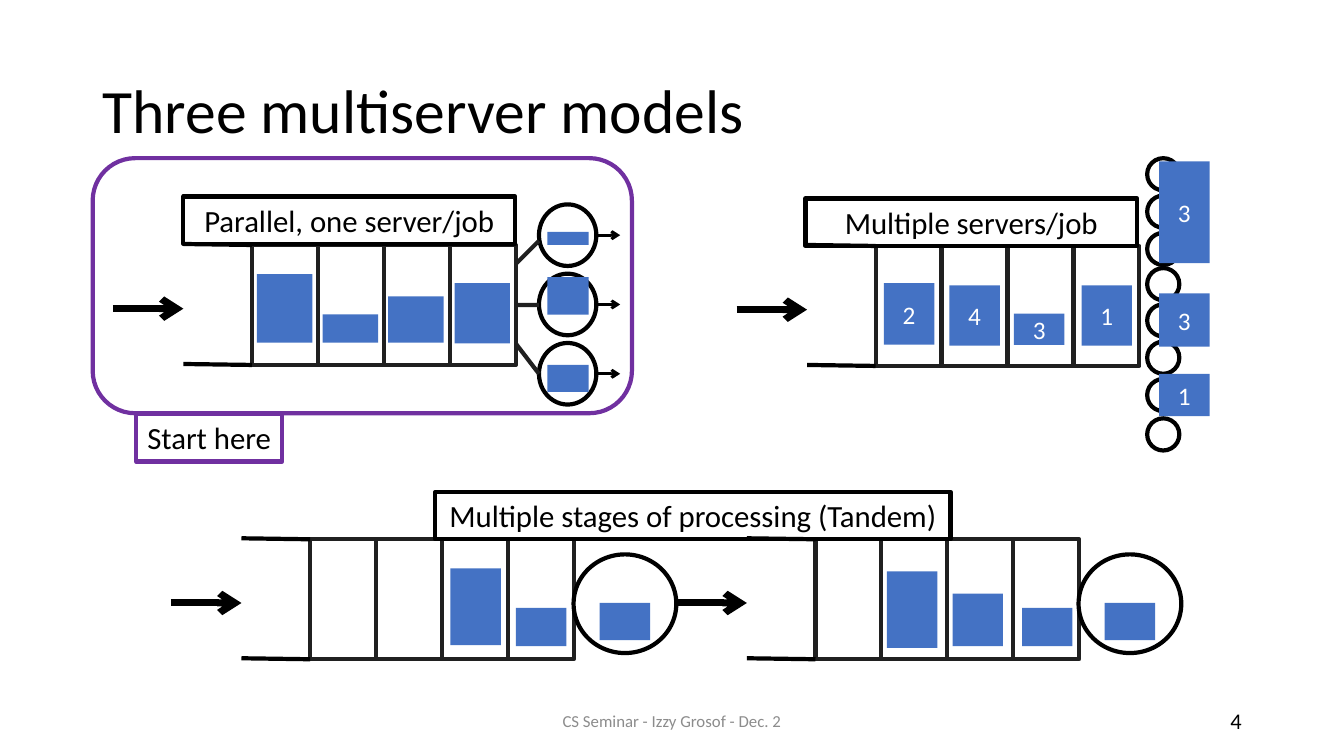
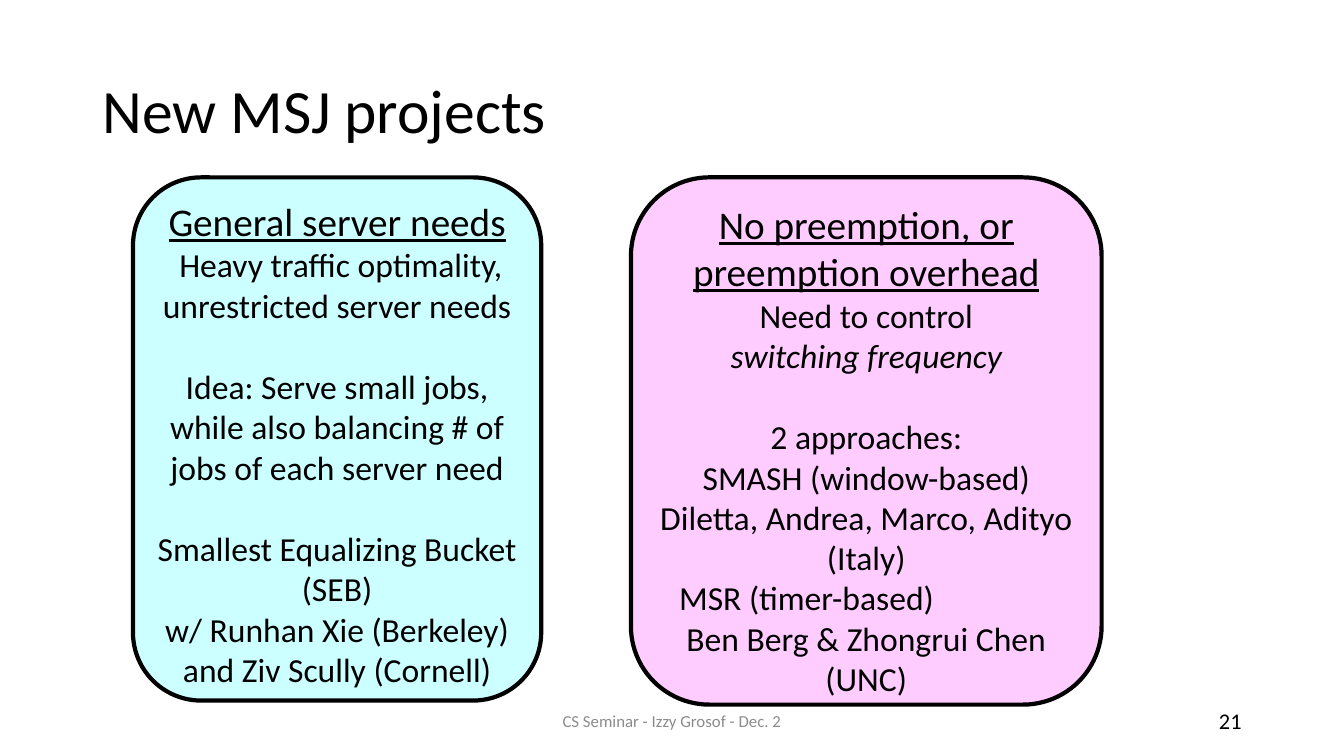
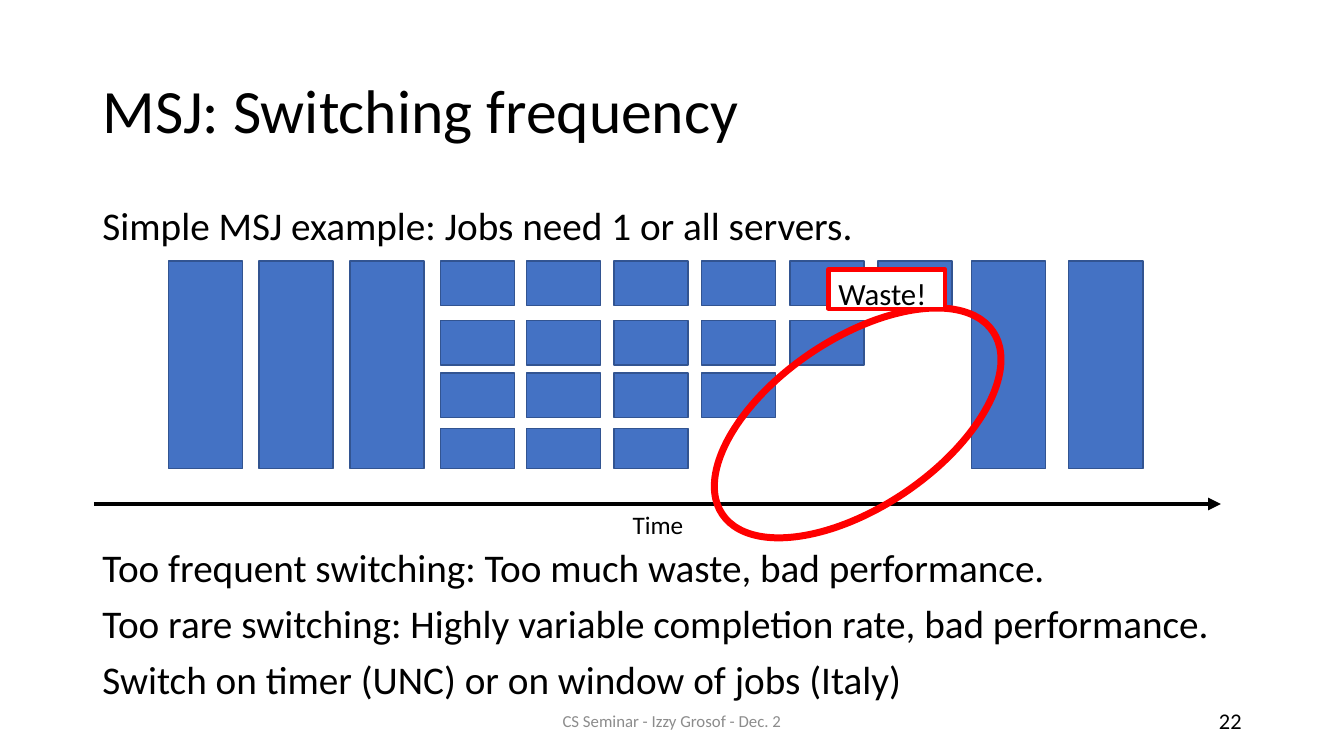
from lxml import etree
from pptx import Presentation
from pptx.dml.color import RGBColor
from pptx.enum.shapes import MSO_CONNECTOR, MSO_SHAPE
from pptx.enum.text import MSO_ANCHOR, MSO_AUTO_SIZE, PP_ALIGN
from pptx.oxml.ns import qn
from pptx.util import Pt

RECT, ROUND, OVAL = MSO_SHAPE.RECTANGLE, MSO_SHAPE.ROUNDED_RECTANGLE, MSO_SHAPE.OVAL
STRAIGHT = MSO_CONNECTOR.STRAIGHT
LEFT, CENTER, RIGHT = PP_ALIGN.LEFT, PP_ALIGN.CENTER, PP_ALIGN.RIGHT
TOP, MIDDLE = MSO_ANCHOR.TOP, MSO_ANCHOR.MIDDLE

COLORS = {
    "black": "000000", "white": "FFFFFF", "gray": "8C8C8C", "cell": "202020",
    "job": "4472C4", "job_edge": "325491", "purple": "7030A0", "red": "FF0000",
    "cyan": "CCFFFF", "pink": "FFCCFF",
}
PALETTE = {name: RGBColor.from_string(value) for name, value in COLORS.items()}


def write(frame, paragraphs, size, color="black", align=CENTER, anchor=TOP, margins=(7.2, 3.6)):
    across, down = margins
    frame_format = {
        "word_wrap": True, "auto_size": MSO_AUTO_SIZE.NONE, "vertical_anchor": anchor,
        "margin_left": Pt(across), "margin_right": Pt(across),
        "margin_top": Pt(down), "margin_bottom": Pt(down),
    }
    for key, value in frame_format.items():
        setattr(frame, key, value)
    for index, (text, font_format, paragraph_format) in enumerate(paragraphs):
        paragraph = frame.paragraphs[0] if index == 0 else frame.add_paragraph()
        for key, value in {"alignment": align, **paragraph_format}.items():
            setattr(paragraph, key, value)
        run = paragraph.add_run()
        run.text = text
        for key, value in {"name": "Calibri", "size": Pt(size), **font_format}.items():
            setattr(run.font, key, value)
        run.font.color.rgb = PALETTE[color]


def add_box(slide, kind, x, y, w, h, fill=None, line=None, width=3):
    box = slide.shapes.add_shape(kind, Pt(x), Pt(y), Pt(w), Pt(h))
    box.shadow.inherit = False
    if fill:
        box.fill.solid()
        box.fill.fore_color.rgb = PALETTE[fill]
    else:
        box.fill.background()
    if line:
        box.line.color.rgb = PALETTE[line]
        box.line.width = Pt(width)
    else:
        box.line.fill.background()
    return box


prs = Presentation()
prs.slide_width, prs.slide_height = Pt(960), Pt(540)

slides = []
for title, number, layout in [
    ("Three multiserver models", "4", 5),
    ("New MSJ projects", "21", 5),
    ("MSJ: Switching frequency", "22", 1),
]:
    slide = prs.slides.add_slide(prs.slide_layouts[layout])
    slides.append(slide)
    heading = slide.shapes.title
    for key, value in {"left": 66, "top": 28.75, "width": 828, "height": 104.4}.items():
        setattr(heading, key, Pt(value))
    write(heading.text_frame, [(title, {}, {"line_spacing": 0.9})], 44, align=LEFT, anchor=MIDDLE)
    for text, x, w, size, color, align in [
        ("CS Seminar - Izzy Grosof - Dec. 2", 318, 324, 12, "gray", CENTER),
        (number, 678, 216, 16, "black", RIGHT),
    ]:
        footer = slide.shapes.add_textbox(Pt(x), Pt(500.5), Pt(w), Pt(28.75))
        write(footer.text_frame, [(text, {}, {})], size, color, align, MIDDLE)

models, projects, switching = slides

CELL_W, CELL_H = 47.1, 85.7
links = []
cells = []
for queue_x, queue_y in [(180, 175), (625.5, 175.7), (221.5, 385.2), (582.5, 385.2)]:
    for place in range(4):
        cells.append(add_box(models, RECT, queue_x + place * CELL_W, queue_y, CELL_W, CELL_H,
                             "white", "cell"))
    for edge_y in (queue_y, queue_y + CELL_H):
        links.append((models, queue_x - 49, edge_y - 0.7, queue_x, edge_y, 3, "black", None))
    arrival_y = queue_y + 45.5
    links.append((models, queue_x - 99.4, arrival_y, queue_x - 49, arrival_y, 5, "black", "arrow"))

for row, feed_y in enumerate([188.5, 217.8, 245.5]):
    server_y = 146 + 49.5 * row
    add_box(models, OVAL, 385, server_y, 41, 44, "white", "black")
    links.append((models, 426, server_y + 22, 443, server_y + 22, 2, "black", "arrow"))
    links.append((models, 368.5, feed_y, 385, [172, 217.8, 267][row], 3, "cell", None))

for server_y in [113, 139.7, 166.3, 191.5, 217.4, 244, 270.7, 298.8]:
    add_box(models, OVAL, 819.4, server_y, 23, 23, "white", "black")
for server_x in (409.7, 770.4):
    add_box(models, OVAL, server_x, 396, 73.4, 70.5, "white", "black")

for x, y, w, h, need in [
    (183.5, 195.8, 39.6, 49, ""), (230.5, 224.6, 39.6, 20.2, ""),
    (277.3, 211.7, 39.6, 33.1, ""), (324.7, 202.3, 39.6, 43, ""),
    (391, 165.6, 29.5, 9.4, ""), (391, 198, 29.5, 26.7, ""), (391, 260.6, 29.5, 19.4, ""),
    (631.4, 202.3, 36, 44, "2"), (678.2, 203.8, 36, 43.2, "4"),
    (724.3, 224, 36, 22.3, "3"), (772.6, 203.8, 36, 43.2, "1"),
    (828, 115.2, 36, 72.7, "3"), (828, 209.5, 36, 38.2, "3"), (828, 267.1, 36, 30.2, "1"),
    (321.8, 406.1, 36, 54.7, ""), (368.6, 434.2, 36, 27.4, ""), (428.4, 430.6, 36, 26.6, ""),
    (633.6, 408.2, 36, 54.7, ""), (680.4, 424.1, 36, 37.4, ""),
    (730.1, 434.2, 36, 27.4, ""), (789.1, 430.6, 36, 26.6, ""),
]:
    job = add_box(models, RECT, x, y, w, h, "job")
    if need:
        write(job.text_frame, [(need, {}, {})], 18, "white", anchor=MIDDLE)

add_box(models, ROUND, 66.2, 113, 385.2, 182.2, line="purple")
for text, x, y, w, edge in [
    ("Parallel, one server/job", 131, 140.4, 237, "black"),
    ("Multiple servers/job", 575.3, 141.8, 237, "black"),
    ("Multiple stages of processing (Tandem)", 311, 351.4, 368, "black"),
    ("Start here", 97.2, 295.9, 104.4, "purple"),
]:
    label = add_box(models, RECT, x, y, w, 33.8, line=edge)
    write(label.text_frame, [(text, {}, {})], 22, margins=(0, 3.6))

links.append((switching, 67, 360, 872, 360, 3, "black", "triangle"))
for slide, x1, y1, x2, y2, width, color, head in links:
    link = slide.shapes.add_connector(STRAIGHT, Pt(x1), Pt(y1), Pt(x2), Pt(y2))
    link.line.color.rgb = PALETTE[color]
    link.line.width = Pt(width)
    if head:
        etree.SubElement(link.line._get_or_add_ln(), qn("a:tailEnd"), type=head)
    etree.SubElement(link._element.spPr, qn("a:effectLst"))
    if (x1, y1) == (368.5, 217.8):
        link.begin_connect(cells[3], 3)

HEAD = {"size": Pt(28), "underline": True}
GAP = {"space_before": Pt(29.3)}
for x, w, h, fill, paragraphs in [
    (95, 291.6, 373.7, "cyan", [
        ("General server needs", HEAD, {}),
        (" Heavy traffic optimality, unrestricted server needs", {}, {}),
        ("Idea: Serve small jobs, while also balancing # of jobs of each server need", {}, GAP),
        ("Smallest Equalizing Bucket (SEB)", {}, GAP),
        ("w/ Runhan Xie (Berkeley) and Ziv Scully (Cornell)", {}, {}),
    ]),
    (450.7, 336.2, 376.6, "pink", [
        ("No preemption, or preemption overhead", HEAD, {}),
        ("Need to control", {}, {}),
        ("switching frequency", {"italic": True}, {}),
        ("2 approaches:", {}, GAP),
        ("SMASH (window-based) Diletta, Andrea, Marco, Adityo (Italy)", {}, {}),
        ("MSR (timer-based)", {}, {"alignment": LEFT}),
        ("Ben Berg & Zhongrui Chen (UNC)", {}, {}),
    ]),
]:
    project = add_box(projects, ROUND, x, 126.7, w, h, fill, "black")
    write(project.text_frame, paragraphs, 24, margins=(0, 0))
    for paragraph in project.text_frame.paragraphs:
        if paragraph.alignment == LEFT:
            paragraph._p.get_or_add_pPr().set("marL", str(Pt(18)))

body = switching.placeholders[1]
for key, value in {"left": 66, "top": 144, "width": 828, "height": 367.2}.items():
    setattr(body, key, Pt(value))
write(body.text_frame, [
    (text, {}, {"line_spacing": 0.9, "space_before": Pt(before)})
    for text, before in [
        ("Simple MSJ example: Jobs need 1 or all servers.", 0),
        ("Too frequent switching: Too much waste, bad performance.", 213.8),
        ("Too rare switching: Highly variable completion rate, bad performance.", 10),
        ("Switch on timer (UNC) or on window of jobs (Italy)", 10),
    ]
], 28, align=LEFT)
for paragraph in body.text_frame.paragraphs:
    properties = paragraph._p.get_or_add_pPr()
    properties.set("marL", "0")
    properties.set("indent", "0")
    etree.SubElement(properties, qn("a:buNone"))

for x in [120.4, 185, 250, 694, 763.4]:
    add_box(switching, RECT, x, 186.5, 53, 148.3, "job", "job_edge", 1)
ROWS = [(186.5, 31.7), (229, 31.7), (266.5, 31.7), (306, 28.8)]
for x, count in [(314.6, 4), (376, 4), (438.5, 4), (501.1, 3), (564.3, 2), (627.1, 1)]:
    for y, h in ROWS[:count]:
        add_box(switching, RECT, x, y, 53, h, "job", "job_edge", 1)

time_label = switching.shapes.add_textbox(Pt(376), Pt(360), Pt(188), Pt(29))
write(time_label.text_frame, [("Time", {}, {})], 18)
waste_area = add_box(switching, OVAL, 496, 242, 233.3, 120.2, line="red", width=5)
waste_area.rotation = 326
waste_label = add_box(switching, RECT, 591.8, 192.5, 83.5, 28, "white", "red")
write(waste_label.text_frame, [("Waste!", {}, {})], 22, align=LEFT)

prs.save("out.pptx")
